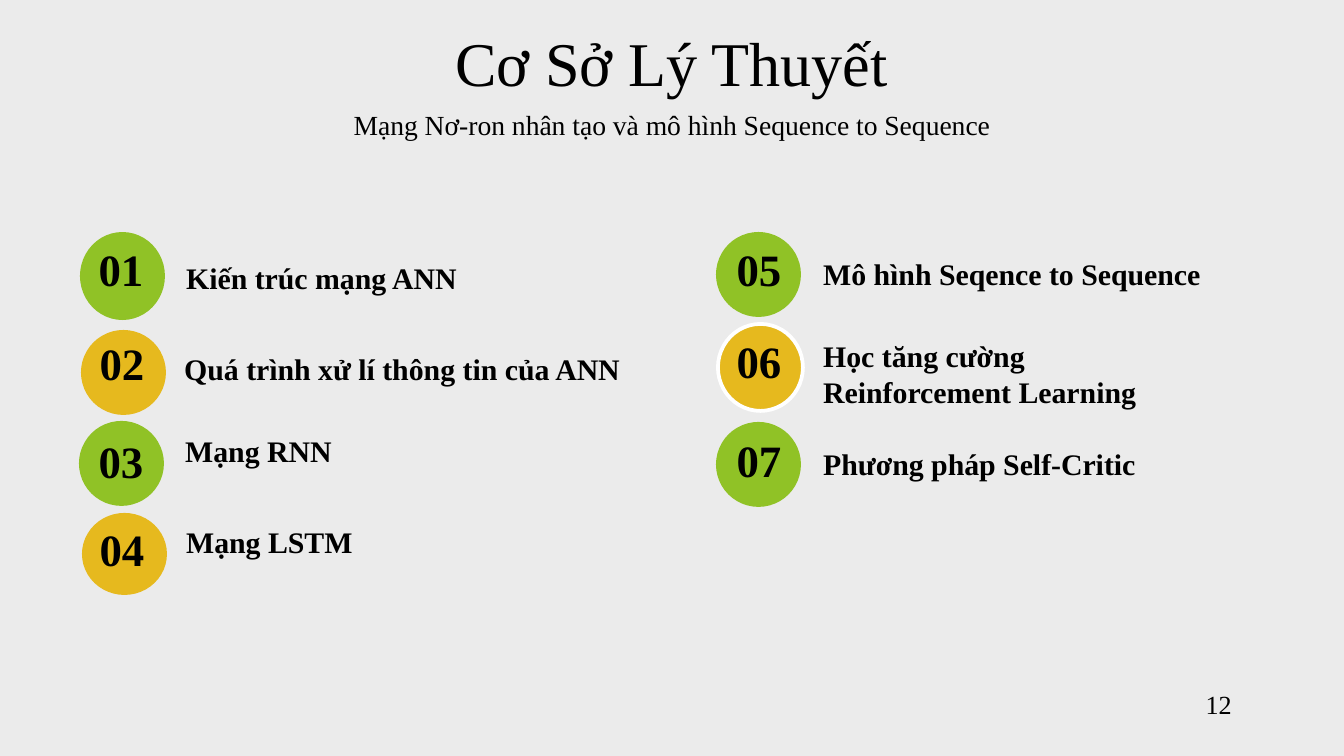
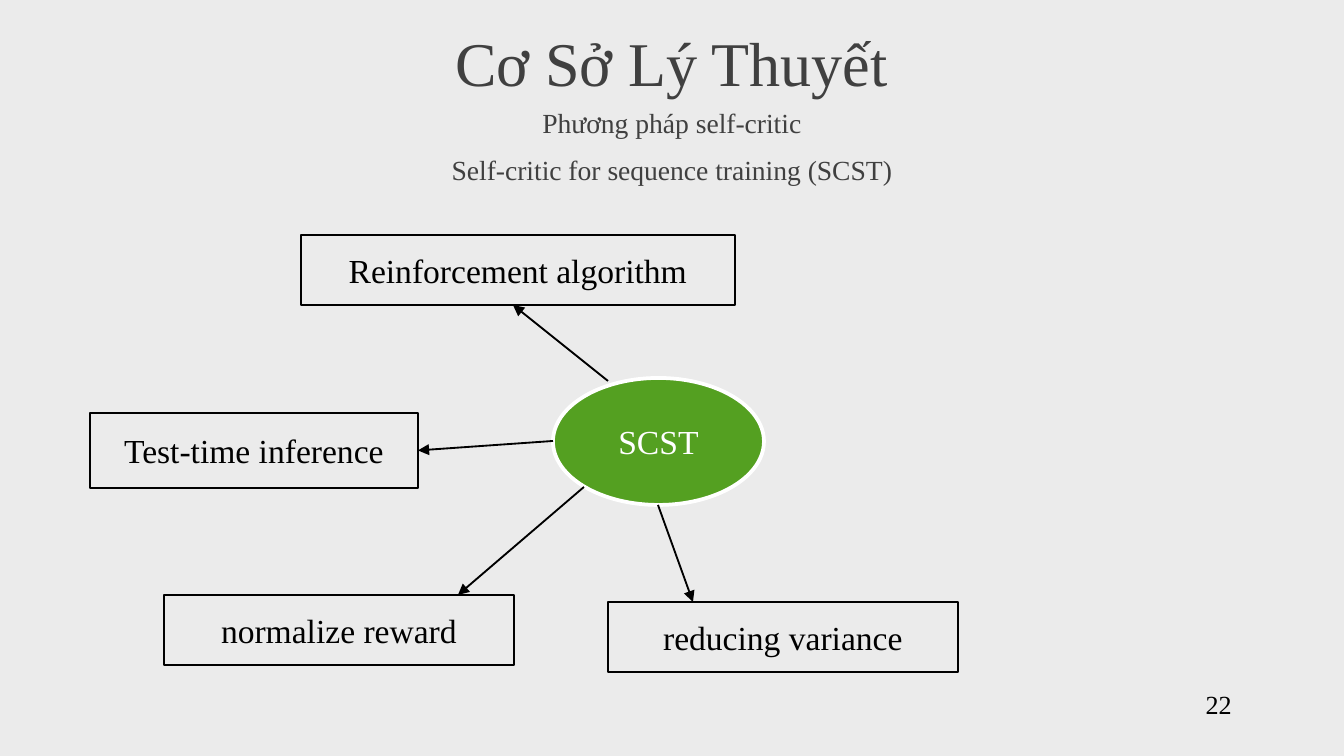
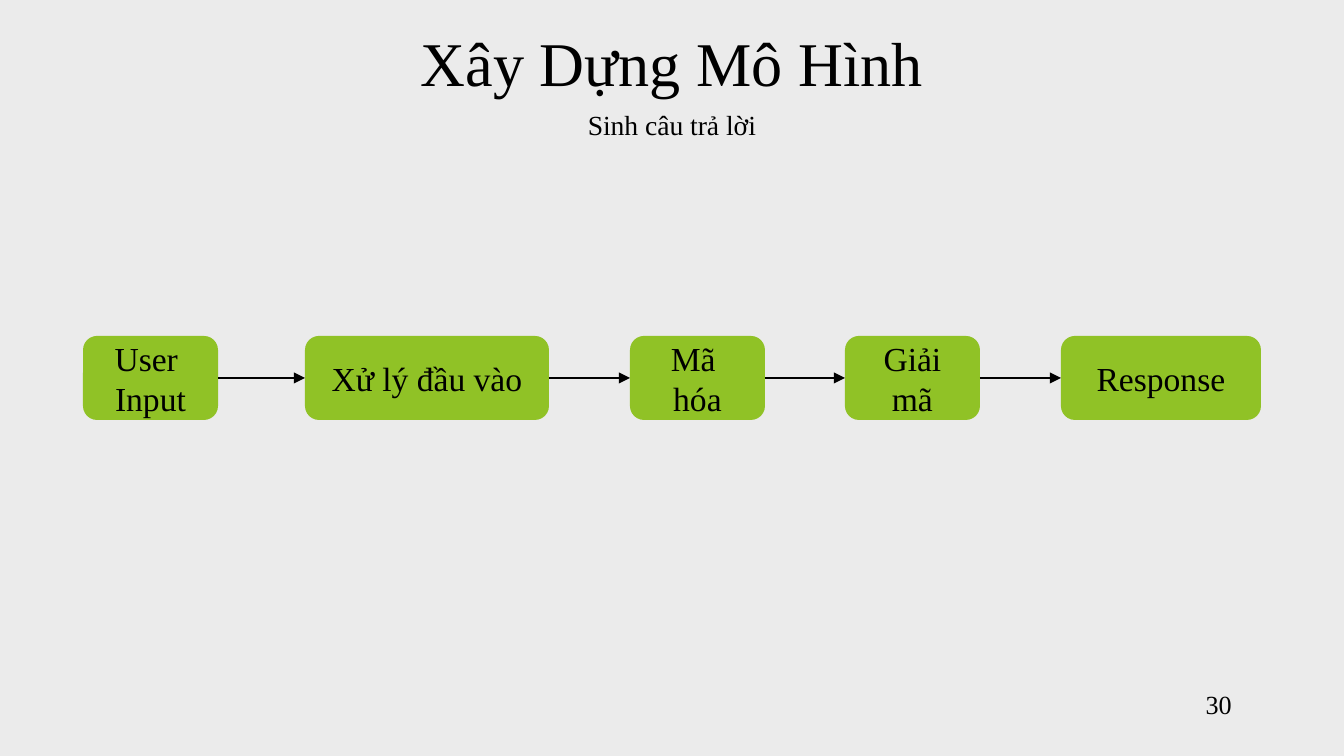
from itertools import pairwise

from lxml.etree import SubElement
from pptx import Presentation
from pptx.dml.color import RGBColor
from pptx.enum.shapes import MSO_CONNECTOR, MSO_SHAPE
from pptx.enum.text import MSO_ANCHOR as Anchor, MSO_AUTO_SIZE as AutoSize, PP_ALIGN as Align
from pptx.oxml.ns import qn
from pptx.util import Pt

EMU_PER_PX = 914400 / 134.4
PAGE_WIDTH, PAGE_HEIGHT = 1344, 756
FONT = "Times New Roman"
BLACK = RGBColor(0x00, 0x00, 0x00)
WHITE = RGBColor(0xFF, 0xFF, 0xFF)
GRAY = RGBColor(0x40, 0x40, 0x40)
BACKDROP = RGBColor(0xEB, 0xEB, 0xEB)
LIME = RGBColor(0x90, 0xC2, 0x26)
GREEN = RGBColor(0x54, 0xA0, 0x21)
GOLD = RGBColor(0xE6, 0xB9, 0x1E)
RIGHT_SIDE, LEFT_SIDE = 3, 1


def px(*lengths):
    return [round(length * EMU_PER_PX) for length in lengths]


def write(box, lines, size, color=BLACK, align=Align.CENTER, anchor=Anchor.MIDDLE,
          bold=False, space_before=0):
    frame = box.text_frame
    frame.word_wrap = True
    frame.vertical_anchor = anchor
    for index, line in enumerate(lines):
        para = frame.add_paragraph() if index else frame.paragraphs[0]
        para.alignment = align
        para.space_before = Pt(space_before)
        span = para.add_run()
        span.text = line
        span.font.name = FONT
        span.font.size = Pt(size)
        span.font.bold = bold
        span.font.color.rgb = color


def add_text(shapes, place, lines, size, **style):
    box = shapes.add_textbox(*px(*place))
    write(box, lines, size, **style)
    return box


def add_figure(shapes, kind, place, fill=None, line=None, line_width=0.75):
    figure = shapes.add_shape(kind, *px(*place))
    figure.shadow.inherit = False
    if fill is None:
        figure.fill.background()
    else:
        figure.fill.solid()
        figure.fill.fore_color.rgb = fill
    if line is None:
        figure.line.fill.background()
    else:
        figure.line.color.rgb = line
        figure.line.width = Pt(line_width)
    return figure


def add_arrow(page, start=(0, 0), end=(0, 0), source=None, target=None, target_side=LEFT_SIDE):
    arrow = page.shapes.add_connector(MSO_CONNECTOR.STRAIGHT, *px(*start, *end))
    if source is not None:
        arrow.begin_connect(source, RIGHT_SIDE)
    if target is not None:
        arrow.end_connect(target, target_side)
    arrow.line.color.rgb = BLACK
    arrow.line.width = Pt(1)
    SubElement(arrow.line._get_or_add_ln(), qn("a:tailEnd"), type="triangle")
    SubElement(arrow._element.spPr, qn("a:effectLst"))


def add_page(deck, title, subtitles, number, color=BLACK):
    page = deck.slides.add_slide(deck.slide_layouts[6])
    page.background.fill.solid()
    page.background.fill.fore_color.rgb = BACKDROP
    add_text(page.shapes, (0, 19, PAGE_WIDTH, 85), [title], 33.3, color=color, space_before=7.5)
    add_text(page.shapes, (0, 104, PAGE_WIDTH, 42 * len(subtitles)), subtitles, 14.8,
             color=color, space_before=7.5)
    add_text(page.shapes, (1128, 684, 117, 40), [number], 14, align=Align.RIGHT)
    return page


def add_topic(page, number, circle, number_at, label_at, lines, ring=None):
    shapes = page.shapes.add_group_shape().shapes
    fill = LIME if number % 2 else GOLD
    add_figure(shapes, MSO_SHAPE.OVAL, circle, fill, ring, 2)
    number_box = add_text(shapes, (*number_at, 94, 68), [f"{number:02}"], 24,
                          anchor=Anchor.TOP, bold=True)
    label_box = add_text(shapes, (*label_at, 540, 14 + 36 * len(lines)), lines, 16,
                         align=Align.LEFT, anchor=Anchor.TOP, bold=True)
    for box in (number_box, label_box):
        box.text_frame.auto_size = AutoSize.SHAPE_TO_FIT_TEXT


def build_topics(deck):
    page = add_page(deck, "Cơ Sở Lý Thuyết",
                    ["Mạng Nơ-ron nhân tạo và mô hình Sequence to Sequence"], "12")
    topics = [
        ((80, 232, 85, 88), (74, 235), (173, 253), ["Kiến trúc mạng ANN"]),
        ((81, 330, 85, 85), (75, 329), (171, 344), ["Quá trình xử lí thông tin của ANN"]),
        ((79, 421, 85, 85), (74, 427), (172, 426), ["Mạng RNN"]),
        ((82, 513, 85, 82), (75, 515), (173, 517), ["Mạng LSTM"]),
        ((716, 232, 85, 85), (712, 235), (810, 249), ["Mô hình Seqence to Sequence"]),
        ((718, 324, 85, 87), (712, 327), (810, 331),
         ["Học tăng cường", "Reinforcement Learning"], WHITE),
        ((716, 422, 85, 85), (712, 426), (810, 439), ["Phương pháp Self-Critic"]),
    ]
    for number, topic in enumerate(topics, 1):
        add_topic(page, number, *topic)


def build_scst(deck):
    page = add_page(deck, "Cơ Sở Lý Thuyết",
                    ["Phương pháp self-critic", "Self-critic for sequence training (SCST)"],
                    "22", GRAY)
    hub = add_figure(page.shapes, MSO_SHAPE.OVAL, (553, 378, 211, 127), GREEN, WHITE, 2)
    write(hub, ["SCST"], 18, WHITE)
    features = {
        "Reinforcement algorithm": (301, 235, 434, 70),
        "Test-time inference": (90, 413, 328, 75),
        "normalize reward": (164, 595, 350, 70),
        "reducing variance": (608, 602, 350, 70),
    }
    boxes = {}
    for label, place in features.items():
        boxes[label] = add_figure(page.shapes, MSO_SHAPE.RECTANGLE, place, line=BLACK)
        write(boxes[label], [label], 18)
    add_arrow(page, (608, 381), (513, 305))
    add_arrow(page, (553, 441), target=boxes["Test-time inference"], target_side=RIGHT_SIDE)
    add_arrow(page, (584, 487), (458, 595))
    add_arrow(page, (658, 505), (693, 602))


def build_response_flow(deck):
    page = add_page(deck, "Xây Dựng Mô Hình", ["Sinh câu trả lời"], "30")
    stages = [
        (83, 135, ["User ", "Input"]),
        (305, 244, ["Xử lý đầu vào"]),
        (630, 135, ["Mã ", "hóa"]),
        (845, 135, ["Giải", "mã"]),
        (1061, 200, ["Response"]),
    ]
    boxes = []
    for left, width, lines in stages:
        box = add_figure(page.shapes, MSO_SHAPE.ROUNDED_RECTANGLE, (left, 336, width, 84), LIME)
        write(box, lines, 18)
        boxes.append(box)
    for source, target in pairwise(boxes):
        add_arrow(page, source=source, target=target)


def main():
    deck = Presentation()
    deck.slide_width, deck.slide_height = px(PAGE_WIDTH, PAGE_HEIGHT)
    build_topics(deck)
    build_scst(deck)
    build_response_flow(deck)
    deck.save("out.pptx")


if __name__ == "__main__":
    main()
